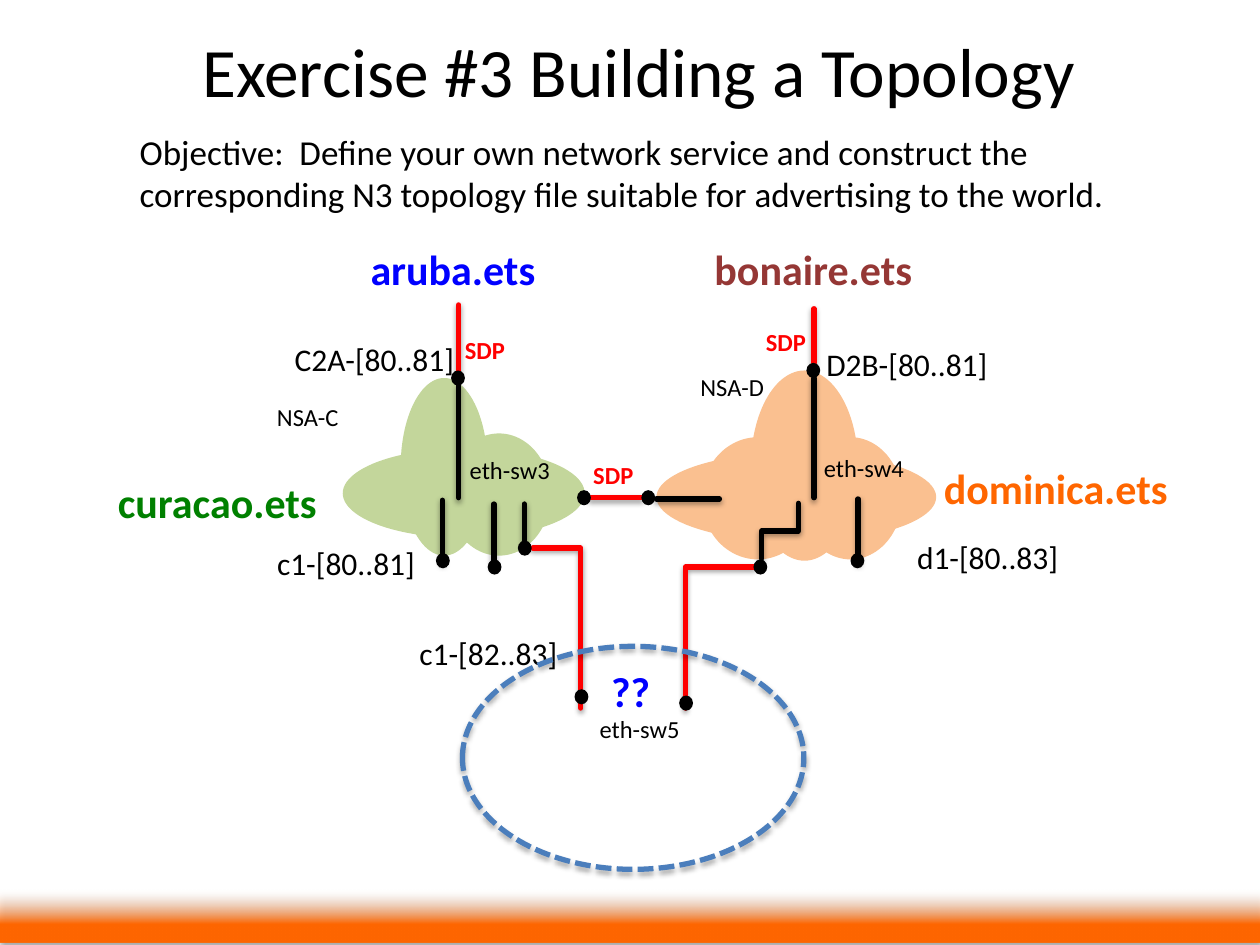
from lxml import etree
from pptx import Presentation
from pptx.dml.color import RGBColor
from pptx.enum.dml import MSO_LINE
from pptx.enum.shapes import MSO_CONNECTOR as CXN, MSO_SHAPE as SHAPE
from pptx.enum.text import MSO_ANCHOR, MSO_AUTO_SIZE, PP_ALIGN
from pptx.oxml import parse_xml
from pptx.oxml.ns import nsdecls, qn
from pptx.util import Inches, Pt

BLACK, RED, ORANGE, BLUE = "000000", "FF0000", "FF6600", "0000FF"
GREEN_CLOUD, ORANGE_CLOUD = "C3D69B", "FAC090"

TITLE = "Exercise #3 Building a Topology"
OBJECTIVE = ("Objective:  Define your own network service and construct the "
             "corresponding N3 topology file suitable for advertising to the world.")

# Ellipses making up each cloud: left, top, width, height
CLOUDS = {
    ORANGE_CLOUD: [(5.21, 3.59, 2.22, 0.71), (5.57, 3.47, 0.89, 0.97),
                   (6.34, 3.47, 0.82, 0.97), (5.96, 2.94, 0.85, 1.51)],
    GREEN_CLOUD: [(2.72, 3.56, 1.92, 0.71), (3.18, 3, 0.69, 1.41),
                  (3.55, 3.44, 0.82, 0.97)],
}
# Straight links: x1, y1, x2, y2
LINKS = {
    BLACK: [(5.21, 3.96, 5.71, 3.96), (6.81, 3.96, 6.81, 4.46), (3.92, 4, 3.92, 4.49),
            (6.46, 3, 6.46, 3.95), (3.64, 3.06, 3.64, 3.95),
            (3.51, 3.97, 3.51, 4.46), (4.16, 4, 4.16, 4.34)],
    RED: [(3.64, 2.42, 3.64, 2.94), (6.46, 2.45, 6.46, 2.88), (5.09, 3.95, 4.69, 3.95)],
}
# Bent links: colour, ends before rotation, preset, rotation
BENT_LINKS = [
    (BLACK, (5.97, 4.07, 6.41, 4.36), "bentConnector3", 90),
    (RED, (4.23, 4.35, 4.61, 5.62), "bentConnector2", 0),
    (RED, (5.98, 4.5, 5.44, 5.62), "bentConnector2", 0),
]
# Top left corners of the port dots
DOTS = [(6.75, 4.39), (3.87, 4.44), (3.58, 2.94), (4.58, 3.89), (5.09, 3.89), (6.4, 2.88),
        (3.46, 4.39), (5.98, 4.44), (4.11, 4.29), (5.39, 5.52), (4.56, 5.47)]
DOT_SIZE = (0.11, 0.12)

# Labels by style: size, colour, bold, alignment, height, then text, left, top, width
PORT = (18, BLACK, False, PP_ALIGN.LEFT, 0.4)
NODE = (14, BLACK, False, PP_ALIGN.LEFT, 0.34)
SDP = (14, RED, True, PP_ALIGN.LEFT, 0.34)


def network(color):
    return 24, color, True, PP_ALIGN.CENTER, 0.5


LABELS = [
    (PORT, "c1-[80..81]", 2.1, 4.27, 1.31),
    (PORT, "d1-[80..83]", 7.18, 4.22, 1.33),
    (PORT, "c1-[82..83]", 3.23, 4.98, 1.31),
    (PORT, "C2A-[80..81]", 2.24, 2.65, 1.48),
    (PORT, "D2B-[80..81]", 6.46, 2.69, 1.49),
    (NODE, "eth-sw3", 3.63, 3.56, 0.86),
    (NODE, "eth-sw4", 6.44, 3.55, 0.87),
    (NODE, "eth-sw5", 4.66, 5.62, 0.85),
    (NODE, "NSA-C", 2.1, 3.14, 0.7),
    (NODE, "NSA-D", 5.46, 2.9, 0.71),
    (SDP, "SDP", 3.59, 2.61, 0.52),
    (SDP, "SDP", 5.98, 2.55, 0.52),
    (SDP, "SDP", 4.61, 3.6, 0.52),
    (network(BLUE), "aruba.ets", 2.83, 1.88, 1.53),
    (network("953735"), "bonaire.ets", 5.56, 1.88, 1.79),
    (network("008000"), "curacao.ets", 0.82, 3.73, 1.81),
    (network(ORANGE), "dominica.ets", 7.38, 3.62, 2),
    (network(BLUE), "??", 4.75, 5.23, 0.51),
]


def rgb(value):
    return RGBColor.from_string(value)


def inches(values):
    return [Inches(v) for v in values]


def add_shadow(sp, alpha, dist):
    spPr = sp._element.spPr
    for old in spPr.findall(qn("a:effectLst")):
        spPr.remove(old)
    effects = etree.SubElement(spPr, qn("a:effectLst"))
    shadow = etree.SubElement(effects, qn("a:outerShdw"), blurRad=str(Pt(3.1)),
                              dist=str(Pt(dist)), dir="5400000", rotWithShape="0")
    color = etree.SubElement(shadow, qn("a:srgbClr"), val=BLACK)
    etree.SubElement(color, qn("a:alpha"), val=str(alpha * 1000))


def add_shape(slide, kind, box, fill=None):
    sp = slide.shapes.add_shape(kind, *inches(box))
    sp.shadow.inherit = False
    sp.line.fill.background()
    if fill:
        sp.fill.solid()
        sp.fill.fore_color.rgb = rgb(fill)
    else:
        sp.fill.background()
    return sp


def add_link(slide, ends, color, kind=CXN.STRAIGHT):
    c = slide.shapes.add_connector(kind, *inches(ends))
    c.line.color.rgb = rgb(color)
    c.line.width = Pt(3)
    c._element.spPr.find(qn("a:ln")).set("cap", "rnd")
    add_shadow(c, 38, 1.6)
    return c


def add_text(slide, text, box, size, color=BLACK, bold=False,
             align=PP_ALIGN.LEFT, wrap=False):
    tf = slide.shapes.add_textbox(*inches(box)).text_frame
    tf.word_wrap = wrap
    tf.auto_size = MSO_AUTO_SIZE.NONE if wrap else MSO_AUTO_SIZE.SHAPE_TO_FIT_TEXT
    p = tf.paragraphs[0]
    p.alignment = align
    r = p.add_run()
    r.text = text
    r.font.name = "Calibri"
    r.font.size = Pt(size)
    r.font.bold = bold
    r.font.color.rgb = rgb(color)
    return tf


prs = Presentation()
prs.slide_width, prs.slide_height = Inches(10), Inches(7.5)
s = prs.slides.add_slide(prs.slide_layouts[6])

# Footer band fading upwards
band = add_shape(s, SHAPE.RECTANGLE, (0, 7.06, 10, 0.42))
spPr = band._element.spPr
spPr.replace(spPr.find(qn("a:noFill")), parse_xml(
    f'<a:gradFill {nsdecls("a")} rotWithShape="1"><a:gsLst>'
    f'<a:gs pos="35000"><a:srgbClr val="{ORANGE}"/></a:gs>'
    '<a:gs pos="100000"><a:srgbClr val="FFFFFF"><a:alpha val="0"/></a:srgbClr></a:gs>'
    '</a:gsLst><a:lin ang="16200000" scaled="0"/></a:gradFill>'))
add_shadow(band, 35, 1.8)

# Heading
add_text(s, OBJECTIVE, (1.01, 0.99, 7.92, 0.89), 20, wrap=True)
title = add_text(s, TITLE, (0.57, 0.16, 9, 0.79), 39.6, align=PP_ALIGN.CENTER, wrap=True)
title.vertical_anchor = MSO_ANCHOR.MIDDLE

# Clouds
for color, ellipses in CLOUDS.items():
    for box in ellipses:
        add_shape(s, SHAPE.OVAL, box, color)

# Links and ports
for color, links in LINKS.items():
    for ends in links:
        add_link(s, ends, color)
for color, ends, preset, rotation in BENT_LINKS:
    spPr = add_link(s, ends, color, CXN.ELBOW)._element.spPr
    spPr.find(qn("a:prstGeom")).set("prst", preset)
    spPr.find(qn("a:xfrm")).set("rot", str(rotation * 60000))
for corner in DOTS:
    add_shape(s, SHAPE.OVAL, corner + DOT_SIZE, BLACK)

# Labels
for (size, color, bold, align, height), text, left, top, width in LABELS:
    add_text(s, text, (left, top, width, height), size, color, bold, align)

# Dashed outline of the unknown network
unknown = add_shape(s, SHAPE.OVAL, (3.67, 5.13, 2.71, 1.77))
unknown.line.color.rgb = rgb("4B7EBC")
unknown.line.width = Pt(3)
unknown.line.dash_style = MSO_LINE.SQUARE_DOT
add_shadow(unknown, 35, 1.8)

prs.save("out.pptx")
